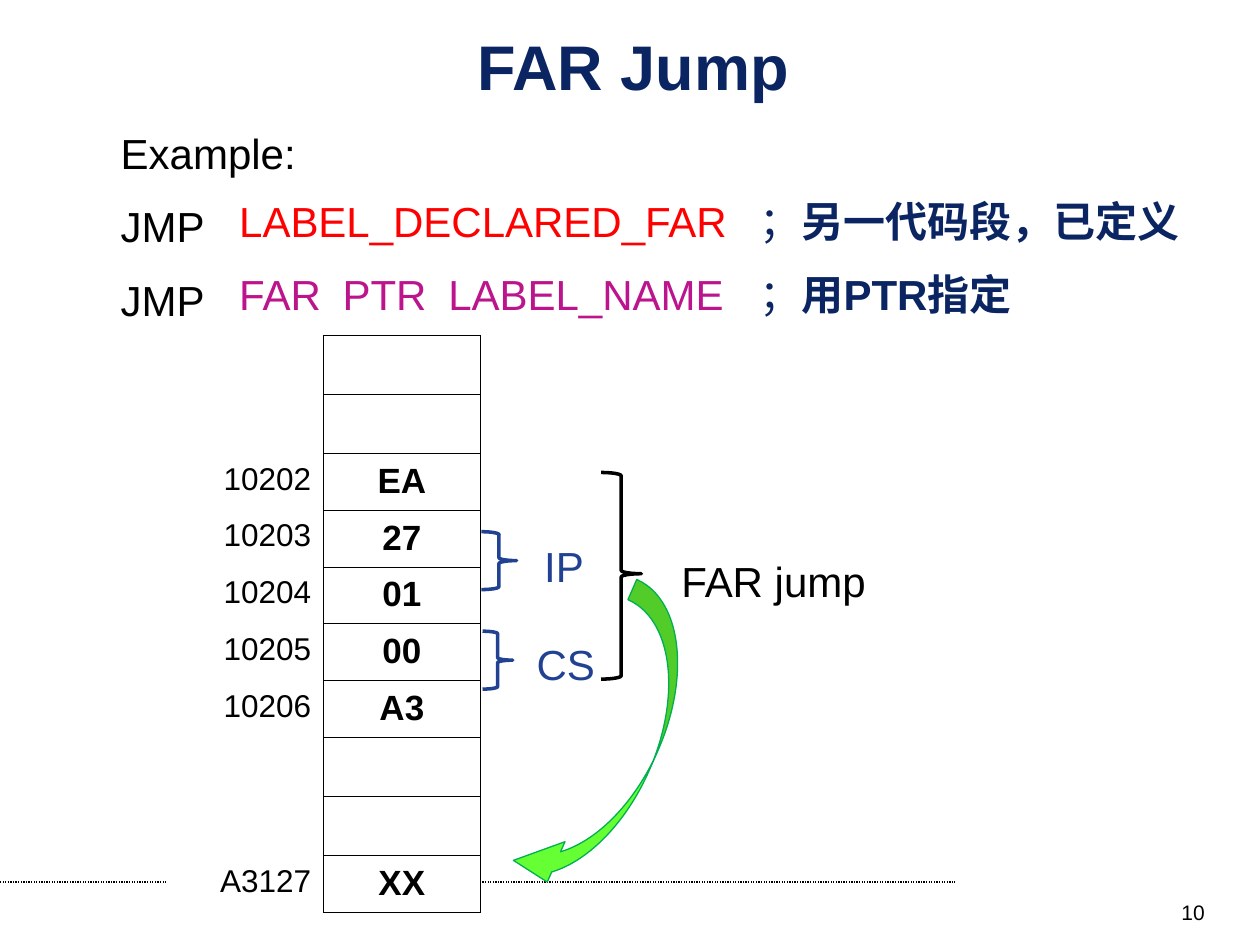
from lxml import etree
from pptx import Presentation
from pptx import util as u
from pptx.dml.color import RGBColor
from pptx.enum import dml, shapes, text
from pptx.oxml.ns import qn

COLORS = {"navy": "0A2562", "blue": "214192", "black": "000000", "white": "FFFFFF",
          "red": "FF0000", "magenta": "BC148C", "lime": "66FF33", "green": "00B050"}
FONT = "Arial"
LINE_SPACING = 1.05
LEFT, CENTER, RIGHT = text.PP_ALIGN.LEFT, text.PP_ALIGN.CENTER, text.PP_ALIGN.RIGHT

# Each paragraph is a list of runs: (wording, size, colour, bold)
TITLE = [[("FAR Jump", 36, "navy", True)]]
PAGE = [[("10", 12, "black", False)]]
MNEMONICS = [[(word, 24, "black", False)] for word in ("Example:", "JMP", "JMP")]
OPERANDS = [
    [(operand + "\t", 24, color, False), ("；", 24, "navy", False), (comment, 24, "navy", True)]
    for operand, color, comment in (
        ("LABEL_DECLARED_FAR", "red", "另一代码段，已定义"),
        ("FAR\tPTR\tLABEL_NAME", "magenta", "用PTR指定"),
    )
]
OPERAND_TABS = [0.82, 1.66, 4.13]

MEMORY = [("", ""), ("", ""), ("10202", "EA"), ("10203", "27"), ("10204", "01"),
          ("10205", "00"), ("10206", "A3"), ("", ""), ("", ""), ("A3127", "XX")]
MEMORY_LEFT, MEMORY_TOP, MEMORY_COLUMN = 1.33, 2.66, 1.24
EMPTY_ROW, BYTE_ROW = 0.47, 0.44

# Box, colour, position of the point
BRACES = [((4.77, 3.75, 0.32, 1.64), "black", 0.49),
          ((3.82, 4.22, 0.28, 0.46), "blue", 0.5),
          ((3.83, 5.01, 0.24, 0.46), "blue", 0.5)]
LABELS = [("FAR jump", (5.31, 4.34, 2.42, 0.5), "black"),
          ("IP", (4.22, 4.22, 0.68, 0.5), "blue"),
          ("CS", (4.16, 5, 0.68, 0.5), "blue")]
JUMP_BOX, JUMP_ANGLE = (4.5, 4.63, 0.7, 2.61), 23.7
JUMP_PROPORTIONS = (0.25, 0.5, 0.45)


def rgb(name):
    return RGBColor.from_string(COLORS[name])


def inches(box):
    return [u.Inches(length) for length in box]


def write(frame, paragraphs, align=LEFT, tabs=(), gap=0):
    for index, runs in enumerate(paragraphs):
        paragraph = frame.paragraphs[0] if index == 0 else frame.add_paragraph()
        if tabs:
            stops = etree.SubElement(paragraph._p.get_or_add_pPr(), qn("a:tabLst"))
            for stop in tabs:
                etree.SubElement(stops, qn("a:tab"), pos=str(u.Inches(stop)), algn="l")
        paragraph.alignment = align
        paragraph.line_spacing = LINE_SPACING
        if index:
            paragraph.space_before = u.Pt(gap)
        for wording, size, color, bold in runs:
            run = paragraph.add_run()
            run.text = wording
            for attribute, value in {"name": FONT, "size": u.Pt(size), "bold": bold}.items():
                setattr(run.font, attribute, value)
            run.font.color.rgb = rgb(color)


def add_text(slide, box, paragraphs, anchor=text.MSO_ANCHOR.TOP, **layout):
    frame = slide.shapes.add_textbox(*inches(box)).text_frame
    frame.word_wrap = True
    frame.vertical_anchor = anchor
    write(frame, paragraphs, **layout)


def add_preset(slide, kind, box, fill=None, line=None, width=0):
    shape = slide.shapes.add_shape(kind, *inches(box))
    shape.shadow.inherit = False
    if fill:
        shape.fill.solid()
        shape.fill.fore_color.rgb = rgb(fill)
    else:
        shape.fill.background()
    if line:
        shape.line.color.rgb = rgb(line)
        shape.line.width = u.Pt(width)
    else:
        shape.line.fill.background()
    return shape


def set_borders(cell, sides):
    properties = cell._tc.get_or_add_tcPr()
    for index, (side, color) in enumerate(sides.items()):
        border = etree.Element(qn("a:ln" + side), w=str(u.Pt(0.45)))
        solid = etree.SubElement(border, qn("a:solidFill"))
        etree.SubElement(solid, qn("a:srgbClr"), val=COLORS[color])
        properties.insert(index, border)


def add_footer_rule(slide):
    rule = slide.shapes.add_connector(shapes.MSO_CONNECTOR.STRAIGHT, *inches((0, 7, 7.58, 7)))
    rule.line.color.rgb = rgb("black")
    rule.line.width = u.Pt(0.75)
    rule.line.dash_style = dml.MSO_LINE.ROUND_DOT
    etree.SubElement(rule._element.spPr, qn("a:effectLst"))


def add_memory(slide):
    heights = [BYTE_ROW if byte else EMPTY_ROW for _, byte in MEMORY]
    box = (MEMORY_LEFT, MEMORY_TOP, 2 * MEMORY_COLUMN, sum(heights))
    memory = slide.shapes.add_table(len(MEMORY), 2, *inches(box)).table
    memory.first_row = memory.horz_banding = False
    for column in memory.columns:
        column.width = u.Inches(MEMORY_COLUMN)
    formats = [(18, False, RIGHT, dict(L="white", R="black", T="white", B="white")),
               (20, True, CENTER, dict.fromkeys("LRTB", "black"))]
    for row, (entry, height) in enumerate(zip(MEMORY, heights)):
        memory.rows[row].height = u.Inches(height)
        for column, (size, bold, align, sides) in enumerate(formats):
            cell = memory.cell(row, column)
            cell.fill.solid()
            cell.fill.fore_color.rgb = rgb("white")
            set_borders(cell, sides)
            if entry[column]:
                write(cell.text_frame, [[(entry[column], size, "black", bold)]], align)


def main():
    deck = Presentation()
    deck.slide_width, deck.slide_height = u.Inches(10), u.Inches(7.5)
    slide = deck.slides.add_slide(deck.slide_layouts[6])

    add_footer_rule(slide)
    add_text(slide, (0.5, 0.25, 9.05, 0.5), TITLE, text.MSO_ANCHOR.MIDDLE, align=CENTER)
    add_text(slide, (7.33, 7.08, 2.33, 0.27), PAGE, align=RIGHT)
    add_memory(slide)

    add_text(slide, (0.86, 0.94, 5.23, 1.64), MNEMONICS, gap=12)
    operands = add_preset(slide, shapes.MSO_SHAPE.RECTANGLE, (1.8, 1.48, 7.95, 1.07), "white")
    operands.text_frame.vertical_anchor = text.MSO_ANCHOR.TOP
    write(operands.text_frame, OPERANDS, tabs=OPERAND_TABS, gap=12)

    for box, color, point in BRACES:
        brace = add_preset(slide, shapes.MSO_SHAPE.RIGHT_BRACE, box, line=color, width=2)
        brace.adjustments[1] = point
    for wording, box, color in LABELS:
        add_text(slide, box, [[(wording, 24, color, False)]])

    jump = add_preset(slide, shapes.MSO_SHAPE.CURVED_LEFT_ARROW, JUMP_BOX, "lime", "green", 0.75)
    jump.rotation = JUMP_ANGLE
    for index, proportion in enumerate(JUMP_PROPORTIONS):
        jump.adjustments[index] = proportion

    deck.save("out.pptx")


if __name__ == "__main__":
    main()
